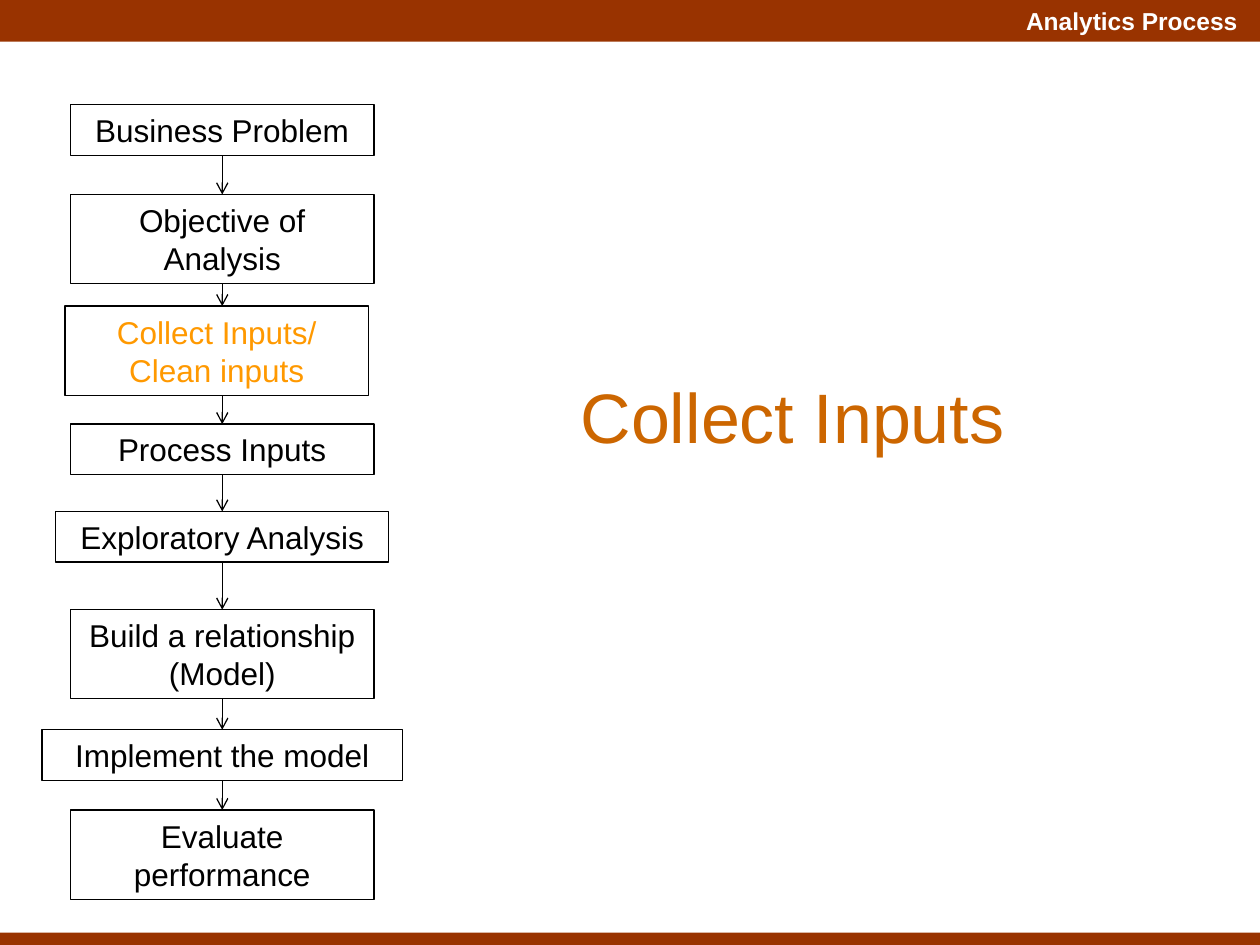
"""Build the analytics process slide with its column of linked steps."""
from lxml import etree
from pptx import Presentation
from pptx.dml.color import RGBColor
from pptx.enum.shapes import MSO_CONNECTOR, MSO_SHAPE
from pptx.enum.text import MSO_ANCHOR, PP_ALIGN
from pptx.oxml.ns import qn
from pptx.util import Cm, Pt

RECT, LINE = MSO_SHAPE.RECTANGLE, MSO_CONNECTOR.STRAIGHT
MIDDLE = MSO_ANCHOR.MIDDLE
CENTER, RIGHT = PP_ALIGN.CENTER, PP_ALIGN.RIGHT

HEADER = "Analytics Process"
TITLE = "Collect Inputs"
AXIS, WIDE = 4.48, 6.12
ONE, TWO = 1.02, 1.8
STEPS = [
    {"text": "Business Problem", "top": 2.11, "high": ONE},
    {"text": "Objective of Analysis", "top": 3.92, "high": TWO},
    {"text": "Collect Inputs/ Clean inputs", "top": 6.17, "high": TWO,
     "mid": 4.37, "color": "focus"},
    {"text": "Process Inputs", "top": 8.55, "high": ONE},
    {"text": "Exploratory Analysis", "top": 10.31, "high": ONE, "wide": 6.71},
    {"text": "Build a relationship (Model)", "top": 12.29, "high": TWO},
    {"text": "Implement the model", "top": 14.71, "high": ONE, "wide": 7.26},
    {"text": "Evaluate performance", "top": 16.33, "high": TWO},
]
COLORS = {"bar": "993300", "title": "CC6600", "focus": "FF9900",
          "ink": "000000", "white": "FFFFFF"}


def color(name):
    return RGBColor.from_string(COLORS[name])


def write(shape, text, size, ink, align=CENTER, bold=False):
    frame = shape.text_frame
    frame.word_wrap = True
    frame.vertical_anchor = MIDDLE
    frame.text = text
    para = frame.paragraphs[0]
    para.alignment = align
    para.space_before = Pt(0)
    font = para.font
    font.name, font.size, font.bold = "Arial", Pt(size), bold
    font.color.rgb = color(ink)


def outline(shape):
    shape.line.color.rgb = color("ink")
    shape.line.width = Pt(0.75)


def add_rect(slide, left, top, wide, high):
    shape = slide.shapes.add_shape(RECT, Cm(left), Cm(top), Cm(wide), Cm(high))
    shape.shadow.inherit = False
    return shape


def add_bar(slide, top, high):
    bar = add_rect(slide, 0, top, 25.4, high)
    bar.fill.solid()
    bar.fill.fore_color.rgb = color("bar")
    bar.line.fill.background()


def add_step(slide, step):
    wide = step.get("wide", WIDE)
    left = step.get("mid", AXIS) - wide / 2
    box = add_rect(slide, left, step["top"], wide, step["high"])
    box.fill.background()
    outline(box)
    write(box, step["text"], 18, step.get("color", "ink"))


def add_arrow(slide, start, end):
    arrow = slide.shapes.add_connector(LINE, Cm(AXIS), Cm(start), Cm(AXIS), Cm(end))
    outline(arrow)
    props = arrow._element.spPr
    etree.SubElement(props.find(qn("a:ln")), qn("a:tailEnd"), type="arrow")
    etree.SubElement(props, qn("a:effectLst"))


def main():
    deck = Presentation()
    deck.slide_width, deck.slide_height = Cm(25.4), Cm(19.05)
    slide = deck.slides.add_slide(deck.slide_layouts[5])
    add_bar(slide, 0, 0.84)
    add_bar(slide, 18.8, 0.25)
    head = slide.shapes.add_textbox(Cm(14.58), Cm(0), Cm(10.62), Cm(0.84))
    write(head, HEADER, 14, "white", RIGHT, True)
    title = slide.shapes.title
    title.left, title.top, title.width, title.height = map(
        Cm, (10.36, 7.4, 11.23, 1.96))
    write(title, TITLE, 40, "title")
    for step in STEPS:
        add_step(slide, step)
    for step, after in zip(STEPS, STEPS[1:]):
        add_arrow(slide, step["top"] + step["high"], after["top"])
    deck.save("out.pptx")


if __name__ == "__main__":
    main()
